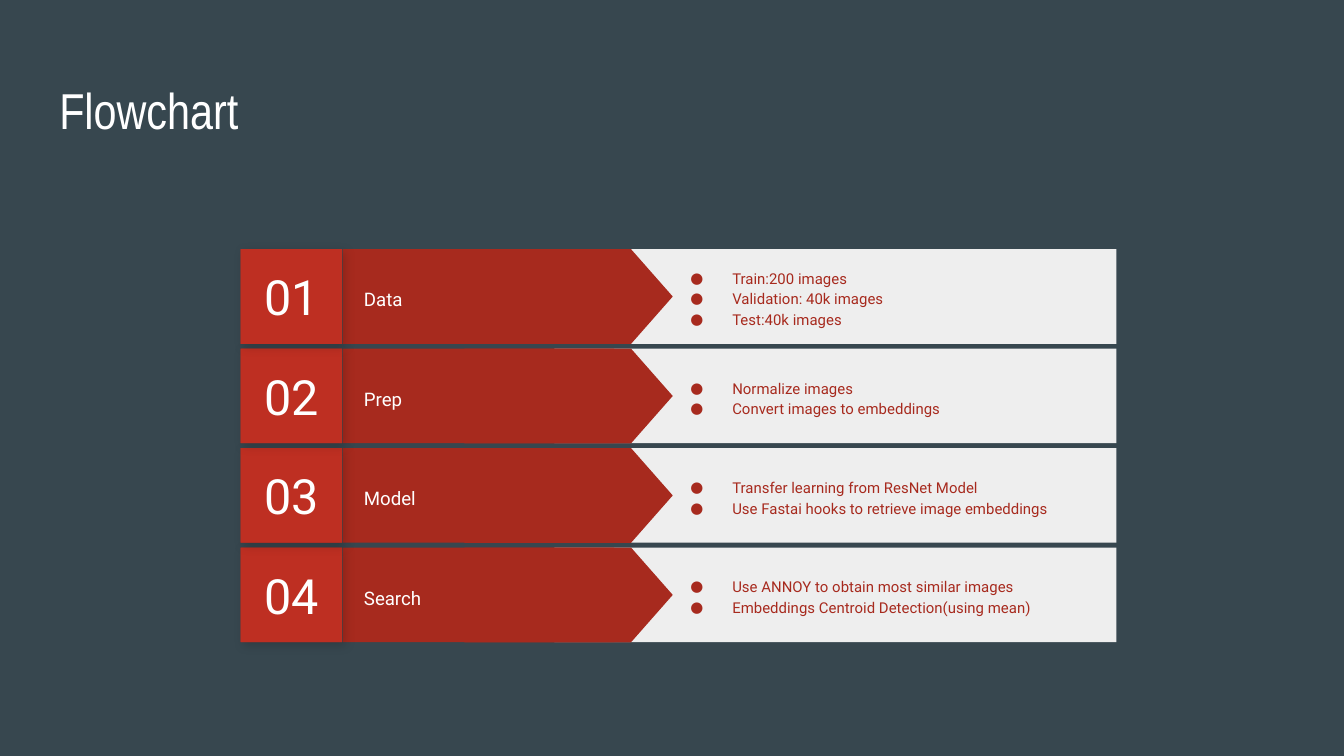
from lxml import etree
from pptx import Presentation
from pptx.dml.color import RGBColor
from pptx.enum.shapes import MSO_SHAPE
from pptx.enum.text import MSO_ANCHOR, PP_ALIGN
from pptx.oxml import parse_xml
from pptx.oxml.ns import nsdecls, qn
from pptx.util import Cm, Pt

RECT = MSO_SHAPE.RECTANGLE
ARROW = MSO_SHAPE.FLOWCHART_OFFPAGE_CONNECTOR
TOP, MIDDLE = MSO_ANCHOR.TOP, MSO_ANCHOR.MIDDLE
LEFT, CENTER = PP_ALIGN.LEFT, PP_ALIGN.CENTER
color = RGBColor.from_string
RED, WHITE = "A72A1E", "FFFFFF"


def block(group, kind, x, y, w, h, fill):
    shape = group.shapes.add_shape(kind, Cm(x), Cm(y), Cm(w), Cm(h))
    shape.shadow.inherit = False
    shape.fill.solid()
    shape.fill.fore_color.rgb = color(fill)
    shape.line.fill.background()
    return shape


def write(shape, lines, size, hue, font="Roboto", anchor=MIDDLE, align=LEFT, space=1.15, dots=False):
    frame = shape.text_frame
    frame.word_wrap = True
    frame.vertical_anchor = anchor
    frame.margin_left = frame.margin_right = Cm(0.25)
    frame.margin_top = frame.margin_bottom = Cm(0.25)
    for i, line in enumerate(lines):
        para = frame.add_paragraph() if i else frame.paragraphs[0]
        para.alignment = align
        para.line_spacing = space
        if dots:
            props = para._p.get_or_add_pPr()
            props.set("marL", str(Cm(1.27)))
            props.set("indent", str(Cm(-0.79)))
            tint = etree.SubElement(props, qn("a:buClr"))
            etree.SubElement(tint, qn("a:srgbClr"), val=hue)
            etree.SubElement(props, qn("a:buFont"), typeface=font)
            etree.SubElement(props, qn("a:buChar"), char="●")
        run = para.add_run()
        run.text = line
        run.font.size = Pt(size)
        run.font.name = font
        run.font.color.rgb = color(hue)


deck = Presentation()
deck.slide_width, deck.slide_height = Cm(25.4), Cm(14.29)
slide = deck.slides.add_slide(deck.slide_layouts[5])
slide.background.fill.solid()
slide.background.fill.fore_color.rgb = color("37474F")

title = slide.shapes.title
title.left, title.top, title.width, title.height = Cm(0.87), Cm(1.24), Cm(23.67), Cm(1.6)
write(title, ["Flowchart"], 27, WHITE, "Arial Narrow", TOP, space=1.0)

steps = [
    ("Data", ["Train:200 images", "Validation: 40k images", "Test:40k images"]),
    ("Prep", ["Normalize images", "Convert images to embeddings"]),
    ("Model", ["Transfer learning from ResNet Model",
               "Use Fastai hooks to retrieve image embeddings"]),
    ("Search", ["Use ANNOY to obtain most similar images",
                "Embeddings Centroid Detection(using mean)"]),
]
first, pitch, high, long = 4.71, 1.88, 1.79, 3.94

for i, (name, notes) in reversed(list(enumerate(steps))):
    y = first + i * pitch
    group = slide.shapes.add_group_shape()
    block(group, RECT, 10.48, y, 10.62, high, "EEEEEE")
    block(group, RECT, 6.48, y, 5.13, high, RED)
    arrow = block(group, ARROW, 9.85, y + (high - long) / 2, high, long, RED)
    arrow.rotation = 270
    label = group.shapes.add_textbox(Cm(6.63), Cm(y + 0.23), Cm(5.38), Cm(1.37))
    write(label, [name], 10, WHITE)

    back = block(group, RECT, 4.55, y, 1.92, high, "B02C20")
    back._element.spPr.find(qn("a:effectLst")).append(parse_xml(
        f'<a:outerShdw {nsdecls("a")} blurRad="{Pt(5.6)}" dist="{Pt(2.2)}" dir="2700000" '
        'algn="tl" rotWithShape="0"><a:srgbClr val="000000"><a:alpha val="17000"/>'
        '</a:srgbClr></a:outerShdw>'))
    badge = block(group, RECT, 4.55, y, 1.92, high, "BE2F22")
    write(badge, [f"{i + 1:02d}"], 26, WHITE, align=CENTER, space=1.0)

    detail = group.shapes.add_textbox(Cm(12.32), Cm(y + 0.02), Cm(8.26), Cm(high))
    write(detail, notes, 8, RED, dots=True)

deck.save("out.pptx")
